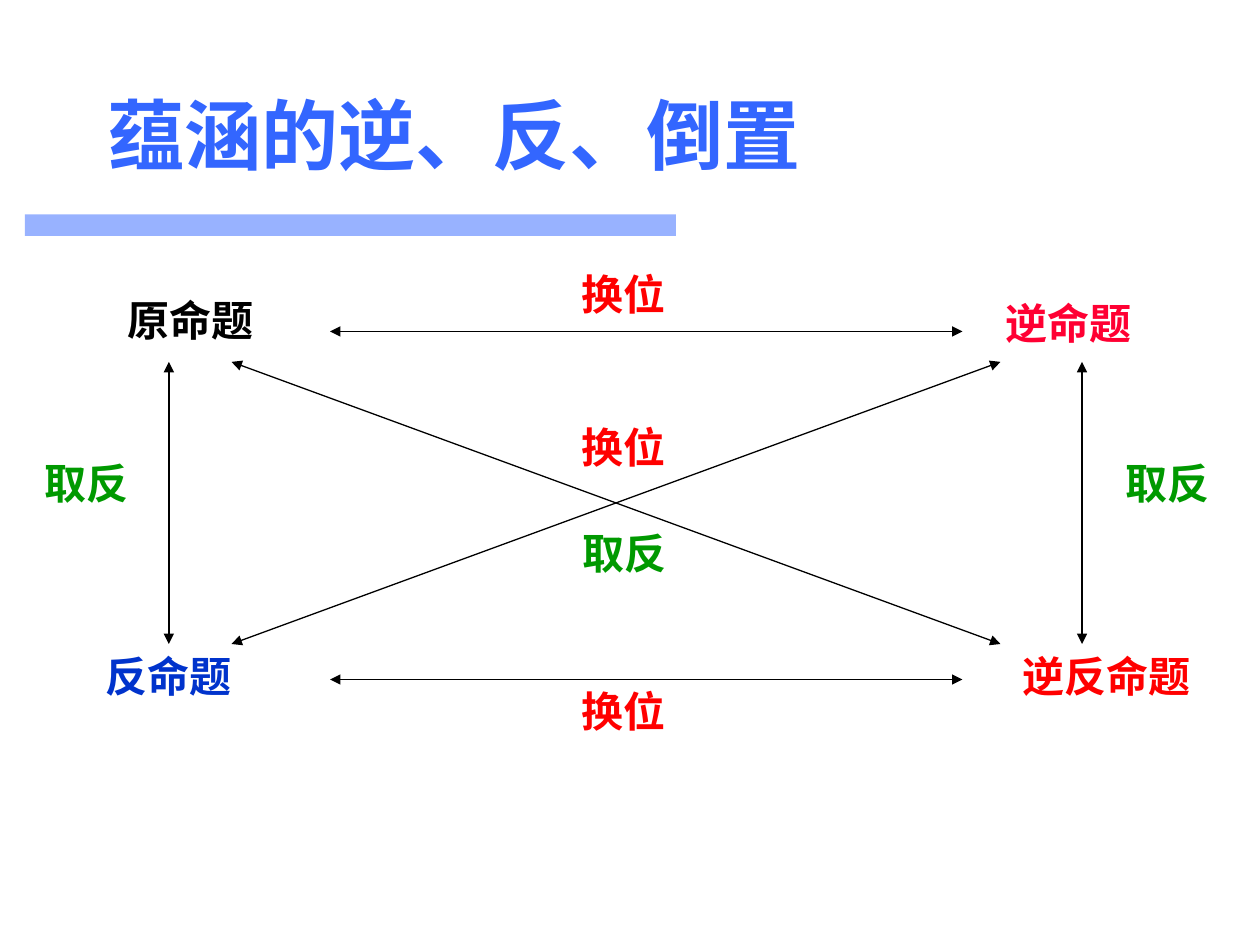
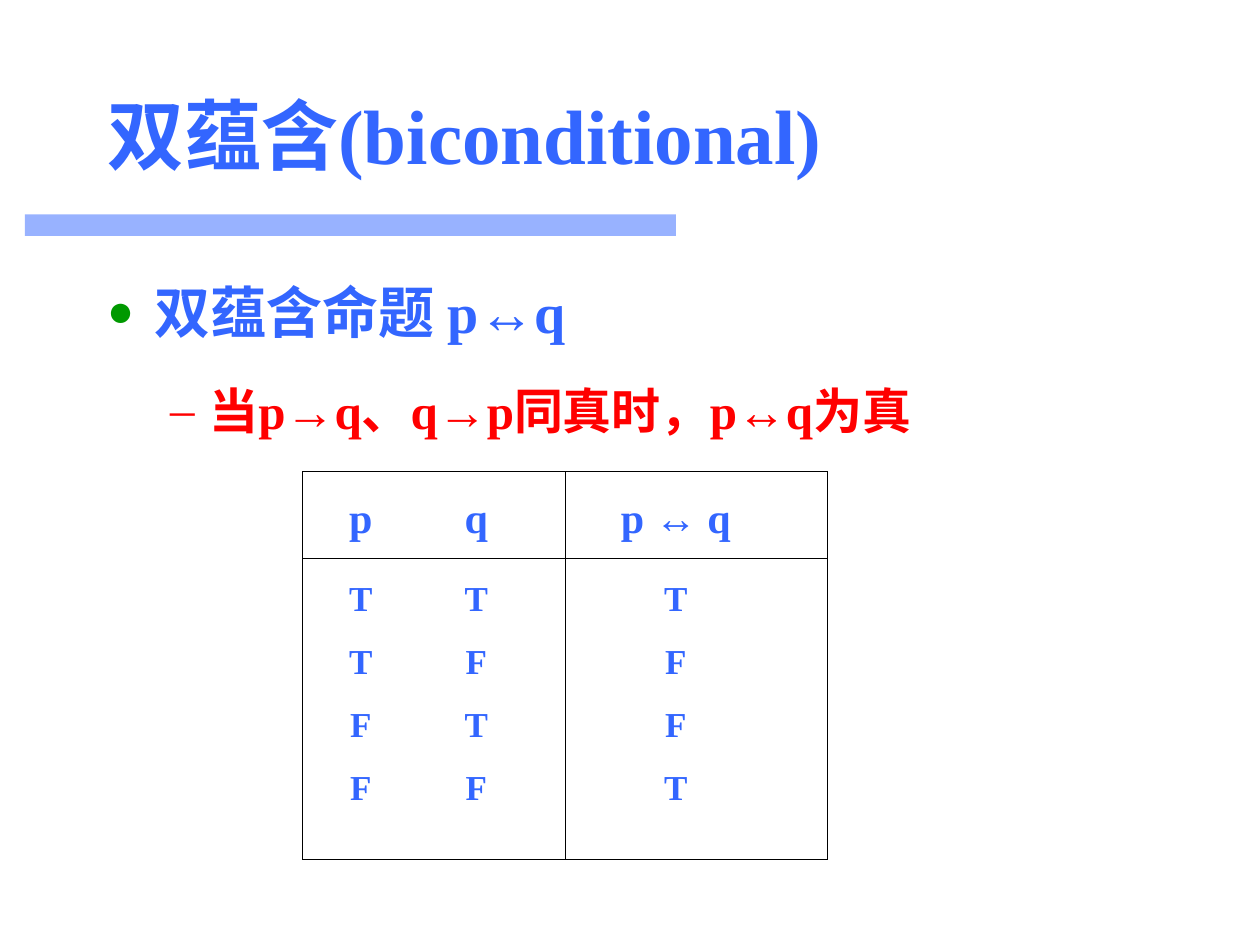
from itertools import groupby

from lxml import etree
from pptx import Presentation
from pptx.dml.color import RGBColor
from pptx.enum.shapes import MSO_CONNECTOR as CONN, MSO_SHAPE as SHAPE
from pptx.enum.text import MSO_ANCHOR as ANCHOR, MSO_AUTO_SIZE as AUTO, PP_ALIGN as ALIGN
from pptx.oxml.ns import qn
from pptx.util import Pt

# Shared look
BLUE, RED, GREEN, BLACK = "3366FF", "FF0000", "009900", "000000"
CJK, LATIN, ARROW = "Noto Sans CJK SC", "Times New Roman", "Arial"
LAYOUT_BODY, LAYOUT_TITLE = 1, 5


def rgb(code):
    return RGBColor.from_string(code)


def sub(parent, tag, **attrs):
    el = etree.SubElement(parent, qn(tag))
    for key, value in attrs.items():
        el.set(key, str(value))
    return el


def font_for(ch):
    if ch in "→↔":
        return ARROW
    return LATIN if ch.isascii() else CJK


def write(p, text, size=24, color=BLUE, font=None, align=ALIGN.LEFT):
    """Fill a paragraph, choosing a font for each script unless one is given."""
    p.alignment = align
    for name, chars in groupby(text, key=lambda ch: font or font_for(ch)):
        r = p.add_run()
        r.text = "".join(chars)
        r.font.size, r.font.bold, r.font.name = Pt(size), True, name
        r.font.color.rgb = rgb(color)
        sub(r.font._element, "a:ea", typeface=ARROW if name == ARROW else CJK)


def place(sp, left, top, width, height):
    sp.left, sp.top, sp.width, sp.height = Pt(left), Pt(top), Pt(width), Pt(height)


def add_slide(prs, layout, title):
    """Start a slide with the translucent band and its title."""
    slide = prs.slides.add_slide(prs.slide_layouts[layout])
    band = slide.shapes.add_shape(SHAPE.RECTANGLE, Pt(14.2), Pt(122.6), Pt(372), Pt(12.2))
    band.shadow.inherit = False
    band.fill.solid()
    band.fill.fore_color.rgb = rgb(BLUE)
    sub(band._element.spPr.find(".//" + qn("a:srgbClr")), "a:alpha", val=50000)
    band.line.fill.background()

    sp = slide.shapes.title
    place(sp, 54, 31.7, 612, 90)
    tf = sp.text_frame
    tf.auto_size, tf.vertical_anchor = AUTO.NONE, ANCHOR.MIDDLE
    write(tf.paragraphs[0], title, size=44)
    return slide


def add_label(slide, text, center, top, color):
    width = 24 * len(text) + 14.4
    sp = slide.shapes.add_textbox(Pt(center - width / 2), Pt(top), Pt(width), Pt(36))
    tf = sp.text_frame
    tf.word_wrap = False
    write(tf.paragraphs[0], text, color=color, align=ALIGN.CENTER)


def add_double_arrow(slide, x1, y1, x2, y2):
    line = slide.shapes.add_connector(CONN.STRAIGHT, Pt(x1), Pt(y1), Pt(x2), Pt(y2))
    line.line.color.rgb = rgb(BLACK)
    line.line.width = Pt(0.75)
    ln = line.line._get_or_add_ln()
    sub(ln, "a:headEnd", type="triangle")
    sub(ln, "a:tailEnd", type="triangle")
    sub(line._element.spPr, "a:effectLst")


def add_bullet(p, text, char, indent, hang, size, color, bullet_color, bullet_size=100, before=0):
    pPr = p._p.get_or_add_pPr()
    pPr.set("marL", str(Pt(indent)))
    pPr.set("indent", str(-Pt(hang)))
    sub(sub(pPr, "a:buClr"), "a:srgbClr", val=bullet_color)
    sub(pPr, "a:buSzPct", val=bullet_size * 1000)
    sub(pPr, "a:buFont", typeface=LATIN)
    sub(pPr, "a:buChar", char=char)
    p.line_spacing, p.space_before = 1.4, Pt(before)
    write(p, text, size=size, color=color)


def fill_cell(cell, lines, stops, size, before):
    """Write centred columns at the tab stops and frame the cell."""
    tf = cell.text_frame
    for i, values in enumerate(lines):
        p = tf.add_paragraph() if i else tf.paragraphs[0]
        tabs = sub(p._p.get_or_add_pPr(), "a:tabLst")
        for stop in stops:
            sub(tabs, "a:tab", pos=Pt(stop), algn="ctr")
        p.line_spacing, p.space_before = 1.4, Pt(before if i else 0)
        write(p, "".join("\t" + v for v in values), size=size, font=LATIN)
    tcPr = cell._tc.get_or_add_tcPr()
    for side in ("a:lnL", "a:lnR", "a:lnT", "a:lnB"):
        ln = sub(tcPr, side, w=Pt(0.45))
        sub(sub(ln, "a:solidFill"), "a:srgbClr", val=BLACK)
    cell.fill.background()


def add_truth_table(slide, inputs, result, rows):
    table = slide.shapes.add_table(2, 2, Pt(173), Pt(269.5), Pt(300), Pt(221.5)).table
    table.first_row = table.horz_banding = False
    table.rows[0].height, table.rows[1].height = Pt(49.5), Pt(172)
    input_stops, result_stops = (26, 92), (56,)
    fill_cell(table.cell(0, 0), [inputs], input_stops, 24, 6)
    fill_cell(table.cell(0, 1), [[result]], result_stops, 24, 6)
    fill_cell(table.cell(1, 0), [row[:2] for row in rows], input_stops, 20, 5)
    fill_cell(table.cell(1, 1), [row[2] for row in rows], result_stops, 20, 5)


def converse_slide(prs):
    slide = add_slide(prs, LAYOUT_TITLE, "蕴涵的逆、反、倒置")
    # Four propositions
    add_label(slide, "原命题", 108.7, 165, BLACK)
    add_label(slide, "逆命题", 610.6, 166.3, "FF0033")
    add_label(slide, "反命题", 96.5, 368, "0033CC")
    add_label(slide, "逆反命题", 632.5, 368, RED)
    # Sides and diagonals
    top, bottom = 206.8, 368
    for y in (189.4, 388.3):
        add_double_arrow(slide, 188.6, y, 550, y)
    for x in (96.5, 618.3):
        add_double_arrow(slide, x, top, x, bottom)
    add_double_arrow(slide, 132.3, top, 571.7, bottom)
    add_double_arrow(slide, 571.7, top, 132.3, bottom)
    # Operations
    for y in (149.8, 237.6, 388.3):
        add_label(slide, "换位", 356.5, y, RED)
    for x, y in ((49.6, 257.8), (667.4, 257.8), (357, 298)):
        add_label(slide, "取反", x, y, GREEN)


def biconditional_slide(prs):
    slide = add_slide(prs, LAYOUT_BODY, "双蕴含(biconditional)")
    # Definition
    body = slide.placeholders[1]
    place(body, 54, 139.7, 612, 351.3)
    tf = body.text_frame
    tf.auto_size = AUTO.NONE
    add_bullet(tf.paragraphs[0], "双蕴含命题 p↔q", "●", 27, 27, 32, BLUE, GREEN, bullet_size=80)
    p = tf.add_paragraph()
    p.level = 1
    add_bullet(p, "当p→q、q→p同真时，p↔q为真", "–", 58.5, 22.5, 28, RED, RED, before=7)
    # Truth table
    add_truth_table(slide, "pq", "p ↔ q", ["TTT", "TFF", "FTF", "FFT"])


def main():
    prs = Presentation()
    prs.slide_width, prs.slide_height = Pt(720), Pt(540)
    converse_slide(prs)
    biconditional_slide(prs)
    prs.save("out.pptx")


if __name__ == "__main__":
    main()
